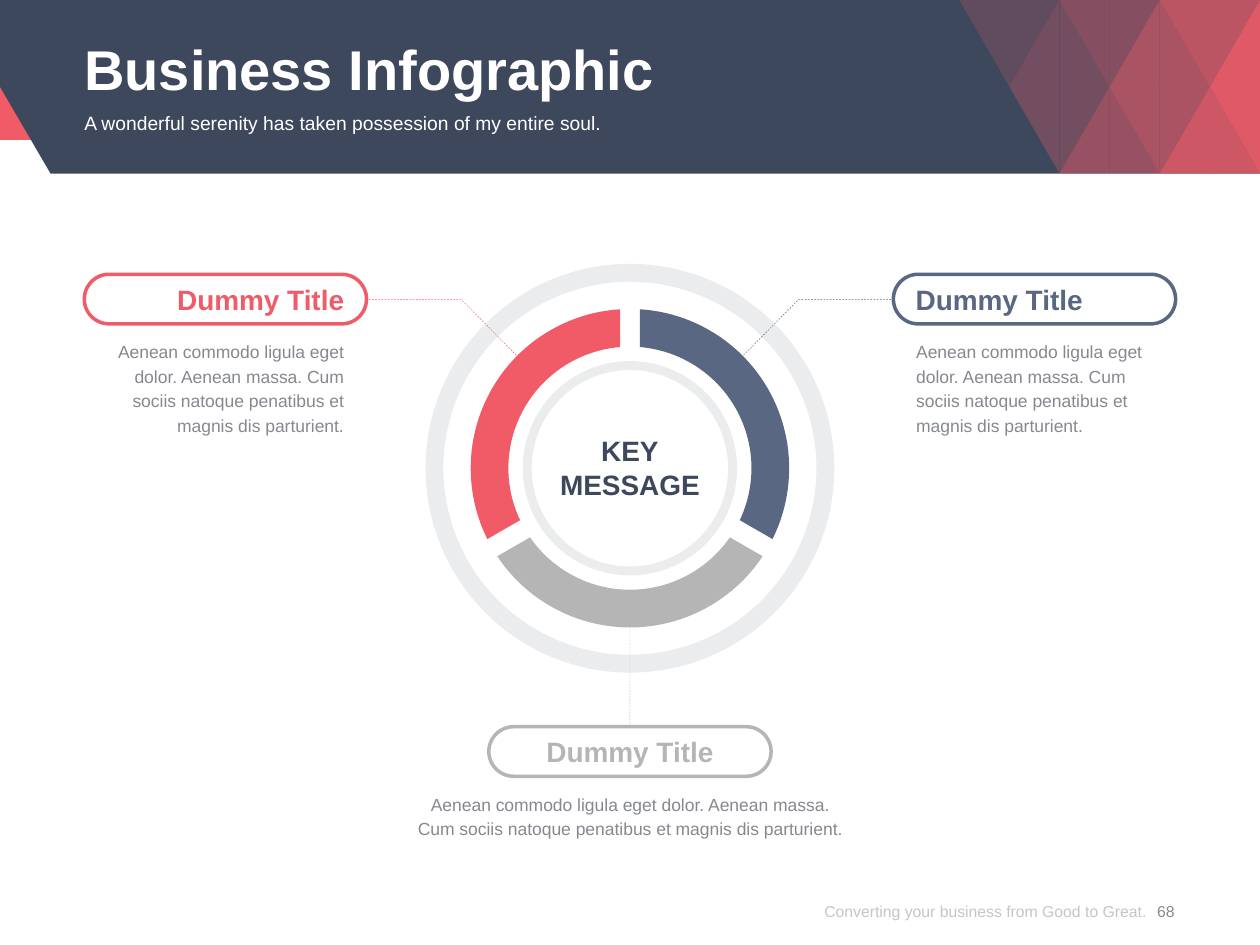
"""Build a header band, a three-part ring and its callouts on one slide."""
from math import asin, cos, pi, sin

from lxml.etree import SubElement
from pptx import Presentation
from pptx.dml.color import RGBColor
from pptx.enum.dml import MSO_LINE
from pptx.enum.shapes import MSO_CONNECTOR, MSO_SHAPE as SHAPE
from pptx.enum.text import MSO_ANCHOR as ANCHOR, PP_ALIGN as ALIGN
from pptx.oxml.ns import qn
from pptx.util import Cm, Pt

RED = RGBColor(0xF1, 0x5B, 0x67)
NAVY = RGBColor(0x3D, 0x48, 0x5D)
BLUE = RGBColor(0x5A, 0x67, 0x83)
SILVER = RGBColor(0xB5, 0xB5, 0xB5)
GREY = RGBColor(0x85, 0x89, 0x8F)
FOOTER = RGBColor(0x8C, 0x8C, 0x8C)
WHITE = RGBColor(0xFF, 0xFF, 0xFF)

WIDTH, HEIGHT = 25.4, 19.05
CX, CY = 12.7, 9.44
ROW, PITCH = 1.75, 1.01
PILL_W, PILL_H, PILL_INSET = 5.69, 1, 0.45
UPPER, LOWER = 5.53, 14.65
LEFT_PILL, MID_PILL, RIGHT_PILL = 1.7, CX - PILL_W / 2, 18.01
TRIANGLES = [(1, 1, 0, 20), (2, 0, 1, 30), (2, 2, 1, 30), (3, 1, 0, 40),
             (3, 1, 2, 50), (4, 0, 1, 60), (4, 2, 1, 60), (5, 1, 0, 70),
             (5, 1, 2, 80), (6, 0, 1, 90), (6, 2, 1, 90)]
LAST_COL = 6
BLURB = ("Aenean commodo ligula eget dolor. Aenean massa. Cum sociis "
         "natoque penatibus et magnis dis parturient.")


class Painter:
    """Holds the style and the current slide, and draws each kind of element."""

    font = "Arial"

    def __init__(self, s):
        self.s = s

    def fade(self, element, alpha):
        if alpha < 100:
            for clr in element.iter(qn("a:srgbClr")):
                SubElement(clr, qn("a:alpha")).set("val", str(alpha * 1000))

    def paint(self, sp, fill=None, line=None, weight=2.0, alpha=100):
        sp.shadow.inherit = False
        if fill is None:
            sp.fill.background()
        else:
            sp.fill.solid()
            sp.fill.fore_color.rgb = fill
        if line is None:
            sp.line.fill.background()
        else:
            sp.line.color.rgb = line
            sp.line.width = Pt(weight)
        self.fade(sp._element, alpha)
        return sp

    def shape(self, kind, x, y, w, h, adj=None, **style):
        sp = self.s.shapes.add_shape(kind, Cm(x), Cm(y), Cm(w), Cm(h))
        if adj is not None:
            sp.adjustments[0] = adj
        return self.paint(sp, **style)

    def outline(self, points, closed=True, **style):
        pts = [(Cm(x), Cm(y)) for x, y in points]
        builder = self.s.shapes.build_freeform(*pts[0])
        builder.add_line_segments(pts[1:], close=closed)
        return self.paint(builder.convert_to_shape(), **style)

    def ring(self, radius, thickness):
        size = 2 * radius
        self.shape(SHAPE.DONUT, CX - radius, CY - radius, size, size,
                   adj=thickness / size, fill=NAVY, alpha=10)

    def segment(self, index, color, outer=3.21, inner=2.45, half_gap=0.2, steps=48):
        def arc(r):
            trim = asin(half_gap / r)
            start, sweep = index * 2 * pi / 3 + trim, 2 * pi / 3 - 2 * trim
            angles = [start + sweep * i / steps for i in range(steps + 1)]
            return [(CX + r * sin(a), CY - r * cos(a)) for a in angles]
        self.outline(arc(outer) + arc(inner)[::-1], fill=color)

    def leader(self, points, color):
        sp = self.outline(points, closed=False, line=color, weight=0.25)
        sp.line.dash_style = MSO_LINE.DASH

    def drop_line(self, x, y, target, color):
        c = self.s.shapes.add_connector(
            MSO_CONNECTOR.STRAIGHT, Cm(x), Cm(y), Cm(x), target.top)
        c.end_connect(target, 0)
        c.line.color.rgb = color
        c.line.width = Pt(0.25)
        c.line.dash_style = MSO_LINE.DASH
        SubElement(c._element.spPr, qn("a:effectLst"))

    def text(self, lines, x, y, w, h, size, color, bold=False, align=ALIGN.LEFT,
             anchor=ANCHOR.TOP, spacing=None, alpha=100):
        tf = self.s.shapes.add_textbox(Cm(x), Cm(y), Cm(w), Cm(h)).text_frame
        tf.word_wrap = True
        tf.vertical_anchor = anchor
        tf.margin_left = tf.margin_right = tf.margin_top = tf.margin_bottom = 0
        for i, line in enumerate(lines):
            p = tf.paragraphs[0] if i == 0 else tf.add_paragraph()
            p.text = line
            p.alignment = align
            if spacing:
                p.line_spacing = Pt(spacing)
            p.font.name, p.font.size, p.font.bold = self.font, Pt(size), bold
            p.font.color.rgb = color
            self.fade(p._p, alpha)

    def callout(self, x, y, color, align, body, body_x, body_w, body_h):
        self.text(body, body_x, y + 1.28, body_w, body_h, 10, GREY,
                  align=align, spacing=14)
        self.text(["Dummy Title"], x + PILL_INSET, y + 0.16,
                  PILL_W - 2 * PILL_INSET, 0.69, 16, color, True, align)
        return self.shape(SHAPE.ROUNDED_RECTANGLE, x, y, PILL_W, PILL_H,
                          adj=0.5, line=color)


def draw_header(d):
    d.shape(SHAPE.RECTANGLE, 0, 0, WIDTH, 2.82, fill=RED)
    d.outline([(0, 0), (WIDTH, 0), (WIDTH, 2 * ROW), (1.02, 2 * ROW), (0, ROW)],
              fill=NAVY)
    for col, apex, base, alpha in TRIANGLES:
        x = WIDTH - (LAST_COL - col) * PITCH
        for side in (-1, 1):
            if col + side <= LAST_COL:
                d.outline([(x, apex * ROW), (x, base * ROW),
                           (x + side * PITCH, base * ROW)], fill=RED, alpha=alpha)
    d.text(["Business Infographic"], 1.7, 0.48, 22, 1.65, 32, WHITE, True,
           anchor=ANCHOR.MIDDLE, spacing=42)
    d.text(["A wonderful serenity has taken possession of my entire soul."],
           1.7, 2.24, 22, 0.99, 11, WHITE)


def draw_ring(d):
    d.ring(2.16, 0.18)
    d.ring(4.12, 0.36)
    for side, color in ((-1, RED), (1, BLUE)):
        d.leader([(CX + side * 2.29, 7.16), (CX + side * 3.4, 6.04),
                  (CX + side * 5.26, 6.04)], color)
    for index, color in enumerate((BLUE, SILVER, RED)):
        d.segment(index, color)
    d.text(["KEY", "MESSAGE"], 10.35, 8.74, 4.7, 1.37, 16, NAVY, True, ALIGN.CENTER)


def draw_callouts(d):
    pill = d.callout(MID_PILL, LOWER, SILVER, ALIGN.CENTER,
                     ["Aenean commodo ligula eget dolor. Aenean massa.",
                      "Cum sociis natoque penatibus et magnis dis parturient."],
                     8.2, 9, 0.97)
    d.drop_line(CX, 12.65, pill, SILVER)
    d.callout(LEFT_PILL, UPPER, RED, ALIGN.RIGHT, [BLURB], 2.03, 4.9, 2.01)
    d.callout(RIGHT_PILL, UPPER, BLUE, ALIGN.LEFT, [BLURB], 18.47, 4.9, 2.01)


def draw_footer(d):
    d.text(["Converting your business from Good to Great."], 15.34, 17.68, 7.77, 1.37,
           9, FOOTER, align=ALIGN.RIGHT, anchor=ANCHOR.MIDDLE, alpha=50)
    d.text(["68"], 22.91, 17.68, 1.19, 1.37, 9, GREY,
           align=ALIGN.CENTER, anchor=ANCHOR.MIDDLE)


def main():
    prs = Presentation()
    prs.slide_width, prs.slide_height = Cm(WIDTH), Cm(HEIGHT)
    d = Painter(prs.slides.add_slide(prs.slide_layouts[6]))
    draw_header(d)
    draw_ring(d)
    draw_callouts(d)
    draw_footer(d)
    prs.save("out.pptx")


if __name__ == "__main__":
    main()
